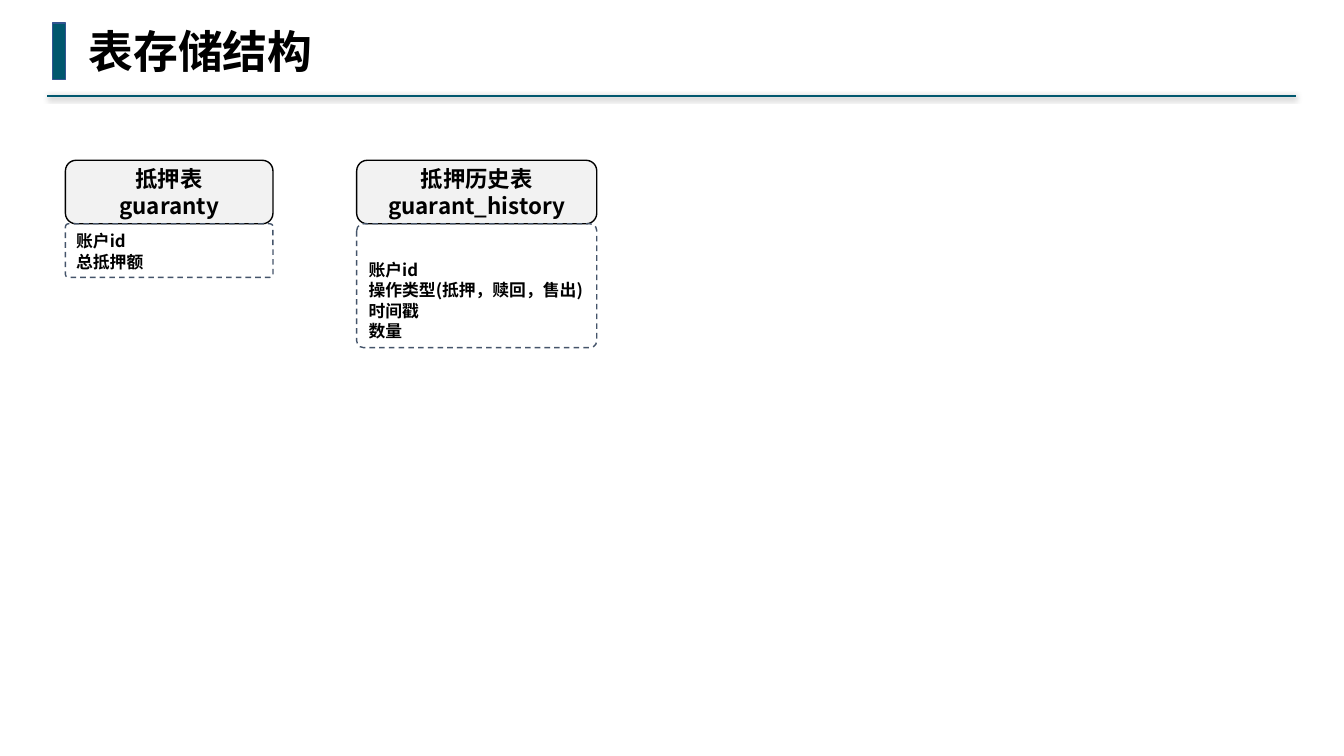
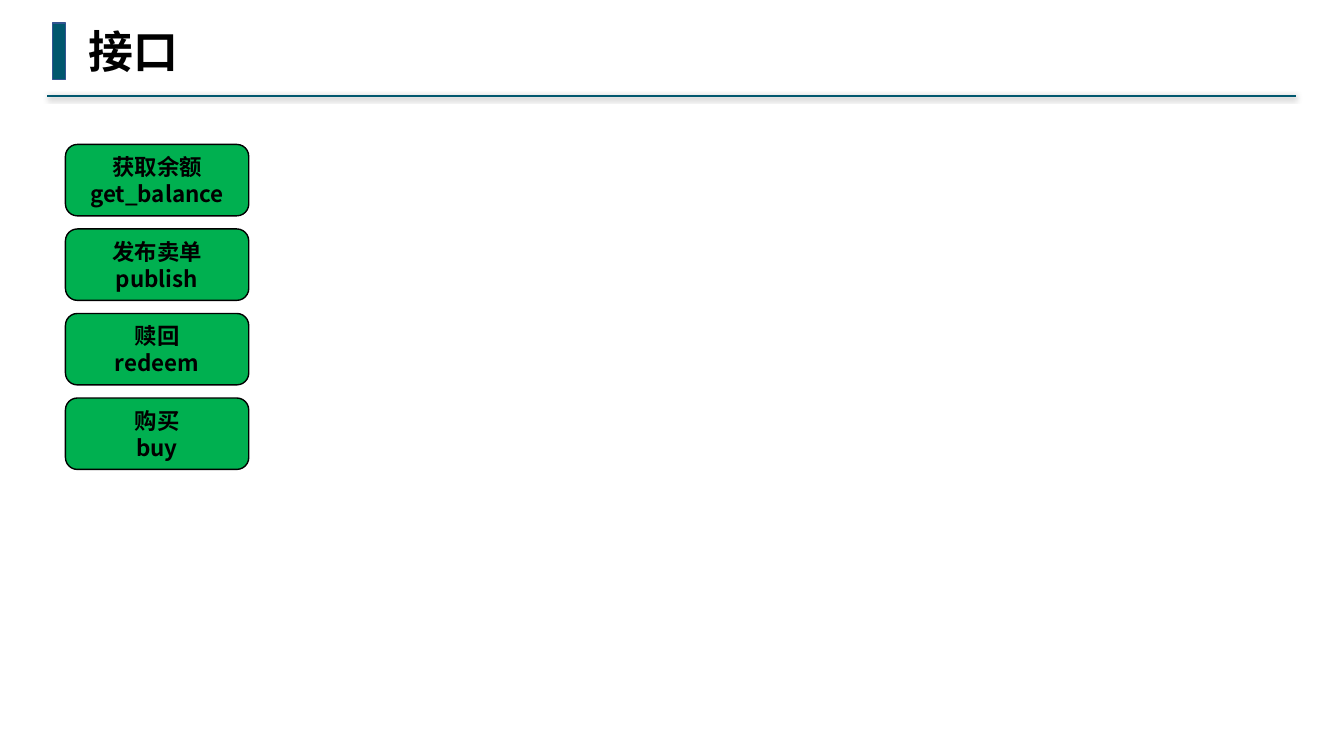
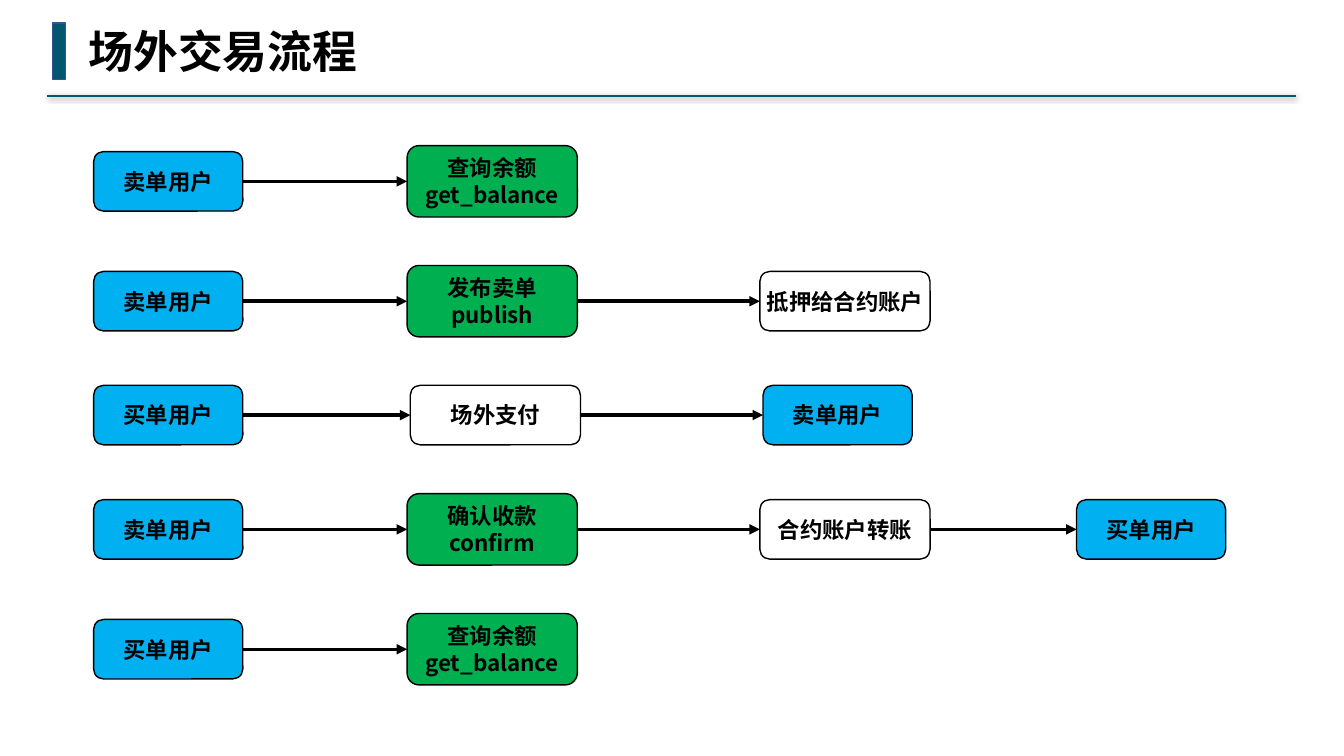
from dataclasses import dataclass

from lxml import etree
from pptx import Presentation
from pptx.dml.color import RGBColor
from pptx.enum.dml import MSO_LINE
from pptx.enum.shapes import MSO_CONNECTOR, MSO_SHAPE
from pptx.enum.text import MSO_ANCHOR, MSO_AUTO_SIZE, PP_ALIGN
from pptx.oxml import parse_xml
from pptx.oxml.ns import nsdecls, qn
from pptx.util import Cm, Pt

RECT, ROUND = MSO_SHAPE.RECTANGLE, MSO_SHAPE.ROUNDED_RECTANGLE
STRAIGHT, DASH = MSO_CONNECTOR.STRAIGHT, MSO_LINE.DASH
MIDDLE, BOTTOM = MSO_ANCHOR.MIDDLE, MSO_ANCHOR.BOTTOM
LEFT, CENTER = PP_ALIGN.LEFT, PP_ALIGN.CENTER
LEFT_SITE, RIGHT_SITE = 1, 3


@dataclass(frozen=True)
class Theme:
    accent: str = "00576E"
    accent_edge: str = "325491"
    ink: str = "000000"
    header: str = "F2F2F2"
    field_edge: str = "44546A"
    call: str = "00B050"
    user: str = "00B0F0"
    step: str = "FFFFFF"
    title_font: str = "Courier New"
    font: str = "Noto Sans CJK SC"
    title_size: int = 32
    box_size: int = 16
    field_size: int = 12


T = Theme()


def add_text(tf, lines, size, align, font=T.font):
    for i, line in enumerate(lines):
        p = tf.paragraphs[0] if i == 0 else tf.add_paragraph()
        p.alignment = align
        r = p.add_run()
        r.text = line
        r.font.size, r.font.bold, r.font.name = Pt(size), True, font
        r.font.color.rgb = RGBColor.from_string(T.ink)
        etree.SubElement(r.font._element, qn("a:ea"), typeface=T.font)


def add_box(s, kind, x, y, w, h, fill, edge=T.ink, lines=()):
    sp = s.shapes.add_shape(kind, Cm(x), Cm(y), Cm(w), Cm(h))
    sp.shadow.inherit = False
    if fill:
        sp.fill.solid()
        sp.fill.fore_color.rgb = RGBColor.from_string(fill)
    else:
        sp.fill.background()
    sp.line.color.rgb = RGBColor.from_string(edge)
    sp.line.width = Pt(1)
    if lines:
        tf = sp.text_frame
        tf.word_wrap, tf.vertical_anchor = False, MIDDLE
        tf.margin_left = tf.margin_right = tf.margin_top = tf.margin_bottom = Cm(0.1)
        add_text(tf, lines, T.box_size, CENTER)
    return sp


prs = Presentation()
prs.slide_width, prs.slide_height = Cm(33.87), Cm(19.05)

# Title band on every slide
slides = []
for title, width in (("表存储结构", 6.22), ("接口", 2.79), ("场外交易流程", 7.34)):
    s = prs.slides.add_slide(prs.slide_layouts[6])
    rule = s.shapes.add_connector(STRAIGHT, Cm(32.66), Cm(2.41), Cm(1.19), Cm(2.41))
    rule.line.color.rgb = RGBColor.from_string(T.accent)
    rule.line.width = Pt(1.5)
    rule._element.spPr.append(parse_xml(
        f'<a:effectLst {nsdecls("a")}>'
        f'<a:outerShdw blurRad="{Pt(4)}" dist="{Pt(1)}" dir="5400000" rotWithShape="0">'
        f'<a:srgbClr val="{T.ink}"><a:alpha val="40000"/></a:srgbClr>'
        '</a:outerShdw></a:effectLst>'))
    add_box(s, RECT, 1.32, 0.58, 0.33, 1.42, T.accent, T.accent_edge)
    tf = s.shapes.add_textbox(Cm(1.98), Cm(0.48), Cm(width), Cm(1.63)).text_frame
    tf.word_wrap, tf.auto_size = False, MSO_AUTO_SIZE.SHAPE_TO_FIT_TEXT
    add_text(tf, [title], T.title_size, LEFT, T.title_font)
    slides.append(s)
tables_slide, calls_slide, flow_slide = slides

# Storage tables: header over a dashed field list
tables = [
    (1.65, 5.23, 1.35, ["抵押表", "guaranty"], ["账户id", "总抵押额"]),
    (8.99, 6.05, 3.12, ["抵押历史表", "guarant_history"],
     ["账户id", "操作类型(抵押，赎回，售出)", "时间戳", "数量"]),
]
for x, w, h, name, fields in tables:
    add_box(tables_slide, ROUND, x, 4.04, w, 1.6, T.header, lines=name)
    sp = add_box(tables_slide, ROUND, x, 5.64, w, h, None, T.field_edge)
    sp.adjustments[0] = 0.055
    sp.line.dash_style = DASH
    tf = sp.text_frame
    tf.word_wrap, tf.vertical_anchor = True, BOTTOM
    add_text(tf, fields, T.field_size, LEFT)

# Interface list
calls = [("获取余额", "get_balance"), ("发布卖单", "publish"),
         ("赎回", "redeem"), ("购买", "buy")]
for i, call in enumerate(calls):
    add_box(calls_slide, ROUND, 1.65, 3.64 + i * 2.13, 4.62, 1.8, T.call, lines=call)

# Trading flow: each row has a centre line, a shift for later columns, and its boxes
columns = (2.36, 10.26, 19.15, 27.13)
sizes = {T.user: (3.76, 1.5), T.call: (4.29, 1.8), T.step: (4.29, 1.5)}
seller, buyer = (T.user, ["卖单用户"]), (T.user, ["买单用户"])
balance = (T.call, ["查询余额", "get_balance"])
flows = [
    (4.57, 0, [seller, balance]),
    (7.59, 0, [seller, (T.call, ["发布卖单", "publish"]), (T.step, ["抵押给合约账户"])]),
    (10.46, 0.08, [buyer, (T.step, ["场外支付"]), seller]),
    (13.34, 0, [seller, (T.call, ["确认收款", "confirm"]),
                (T.step, ["合约账户转账"]), buyer]),
    (16.36, 0, [buyer, balance]),
]
for centre, shift, row in flows:
    previous = None
    for x, (fill, lines) in zip(columns, row):
        w, h = sizes[fill]
        left = x + shift if previous else x
        sp = add_box(flow_slide, ROUND, left, centre - h / 2, w, h, fill, lines=lines)
        if previous:
            arrow = flow_slide.shapes.add_connector(STRAIGHT, 0, 0, 0, 0)
            arrow.begin_connect(previous, RIGHT_SITE)
            arrow.end_connect(sp, LEFT_SITE)
            arrow.line.color.rgb = RGBColor.from_string(T.ink)
            arrow.line.width = Pt(2.5)
            etree.SubElement(arrow.line._get_or_add_ln(), qn("a:tailEnd"), type="triangle")
            etree.SubElement(arrow._element.spPr, qn("a:effectLst"))
        previous = sp

prs.save("out.pptx")
